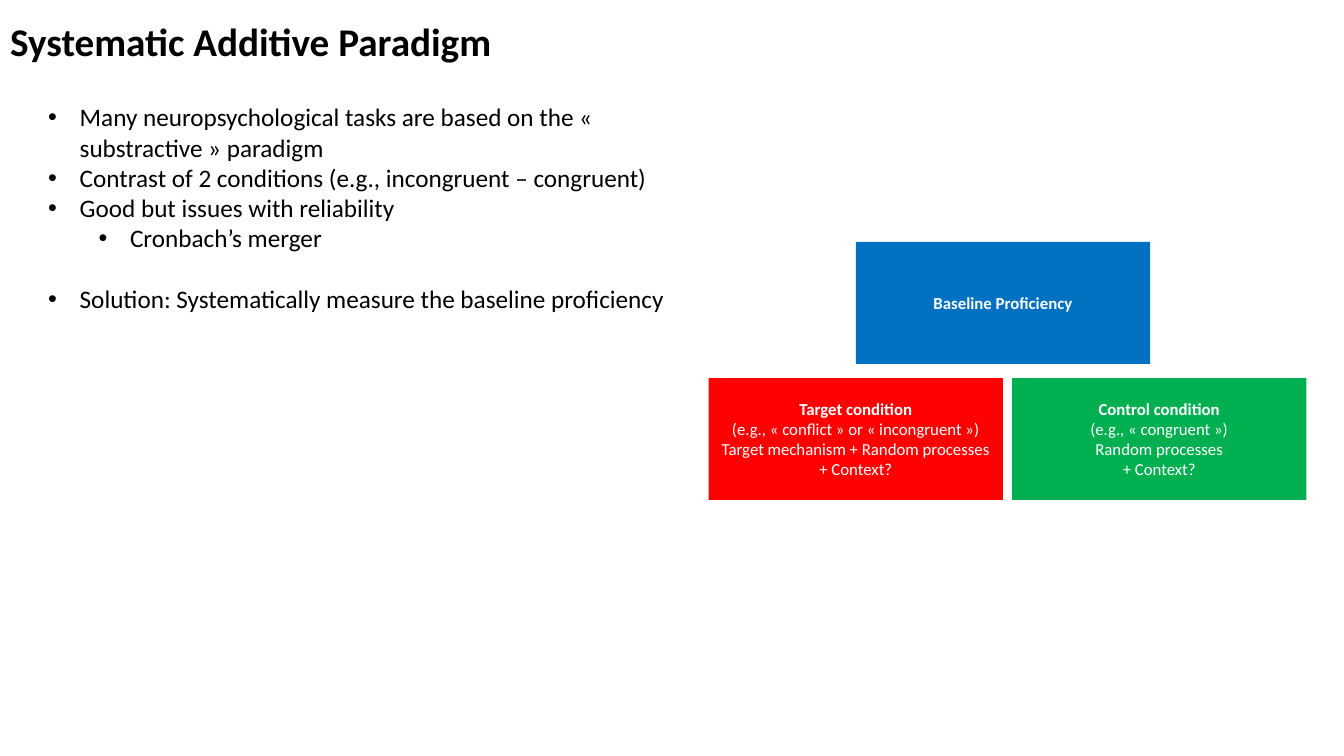
from dataclasses import dataclass

from lxml import etree
from pptx import Presentation
from pptx.dml.color import RGBColor
from pptx.enum import shapes, text
from pptx.oxml import ns
from pptx.slide import Slide
from pptx.util import Pt

FONT = "Calibri"
COLORS = {
    "black": "000000",
    "white": "FFFFFF",
    "baseline": "0070C0",
    "target": "FF0000",
    "control": "00B050",
}
CARD_WIDTH, CARD_HEIGHT = 210.24, 87.12
CONDITION_LEFT, CONDITION_TOP, CONDITION_GAP = 506.16, 270, 6.48
BULLET_HANG = 22.5
LEVEL_INDENT = 36


@dataclass
class Card:
    left: float
    top: float
    color: str
    heading: str
    details: tuple[str, ...] = ()


@dataclass
class Bullet:
    wording: str
    level: int = 0
    space_before: float = 0


CARDS = [
    Card(CONDITION_LEFT, CONDITION_TOP, "target", "Target condition",
         ("(e.g., « conflict » or « incongruent »)",
          "Target mechanism + Random processes", "+ Context?")),
    Card(CONDITION_LEFT + CARD_WIDTH + CONDITION_GAP, CONDITION_TOP, "control", "Control condition",
         ("(e.g., « congruent »)", "Random processes", "+ Context?")),
    Card(611.28, 172.8, "baseline", "Baseline Proficiency"),
]

BULLETS = [
    Bullet("Many neuropsychological tasks are based on the « substractive » paradigm"),
    Bullet("Contrast of 2 conditions (e.g., incongruent – congruent)"),
    Bullet("Good but issues with reliability"),
    Bullet("Cronbach’s merger", level=1),
    Bullet("Solution: Systematically measure the baseline proficiency", space_before=22),
]


def format_runs(paragraph, size: float, color: str, bold: bool = False) -> None:
    for run in paragraph.runs:
        run.font.name = FONT
        run.font.size = Pt(size)
        run.font.bold = bold
        run.font.color.rgb = RGBColor.from_string(COLORS[color])


def format_title(slide: Slide, wording: str) -> None:
    title = slide.shapes.title
    title.left, title.top, title.width, title.height = Pt(0), Pt(0), Pt(675.36), Pt(58.32)
    frame = title.text_frame
    frame.text = wording
    frame.auto_size = text.MSO_AUTO_SIZE.NONE
    frame.vertical_anchor = text.MSO_ANCHOR.MIDDLE
    frame.paragraphs[0].alignment = text.PP_ALIGN.LEFT
    format_runs(frame.paragraphs[0], 28, "black", bold=True)


def draw_card(slide: Slide, card: Card) -> None:
    shape = slide.shapes.add_shape(
        shapes.MSO_SHAPE.RECTANGLE,
        Pt(card.left), Pt(card.top), Pt(CARD_WIDTH), Pt(CARD_HEIGHT),
    )
    shape.shadow.inherit = False
    shape.fill.solid()
    shape.fill.fore_color.rgb = RGBColor.from_string(COLORS[card.color])
    shape.line.fill.background()
    frame = shape.text_frame
    frame.word_wrap = True
    frame.vertical_anchor = text.MSO_ANCHOR.MIDDLE
    frame.text = "\n".join((card.heading, *card.details))
    for index, paragraph in enumerate(frame.paragraphs):
        paragraph.alignment = text.PP_ALIGN.CENTER
        format_runs(paragraph, 12, "white", bold=index == 0)


def add_bullet_mark(paragraph, level: int) -> None:
    properties = paragraph._p.get_or_add_pPr()
    properties.set("marL", str(Pt(BULLET_HANG + level * LEVEL_INDENT)))
    properties.set("indent", str(Pt(-BULLET_HANG)))
    etree.SubElement(properties, ns.qn("a:buFont")).set("typeface", "Arial")
    etree.SubElement(properties, ns.qn("a:buChar")).set("char", "•")


def draw_bullets(slide: Slide, bullets: list[Bullet]) -> None:
    box = slide.shapes.add_textbox(Pt(27.36), Pt(69.12), Pt(484.56), Pt(159.84))
    frame = box.text_frame
    frame.word_wrap = True
    frame.auto_size = text.MSO_AUTO_SIZE.SHAPE_TO_FIT_TEXT
    frame.text = "\n".join(bullet.wording for bullet in bullets)
    for paragraph, bullet in zip(frame.paragraphs, bullets):
        add_bullet_mark(paragraph, bullet.level)
        paragraph.level = bullet.level
        if bullet.space_before:
            paragraph.space_before = Pt(bullet.space_before)
        format_runs(paragraph, 18, "black")


def main() -> None:
    presentation = Presentation()
    presentation.slide_width, presentation.slide_height = Pt(960), Pt(540)
    slide = presentation.slides.add_slide(presentation.slide_layouts.get_by_name("Title Only"))
    format_title(slide, "Systematic Additive Paradigm")
    for card in CARDS:
        draw_card(slide, card)
    draw_bullets(slide, BULLETS)
    presentation.save("out.pptx")


if __name__ == "__main__":
    main()
